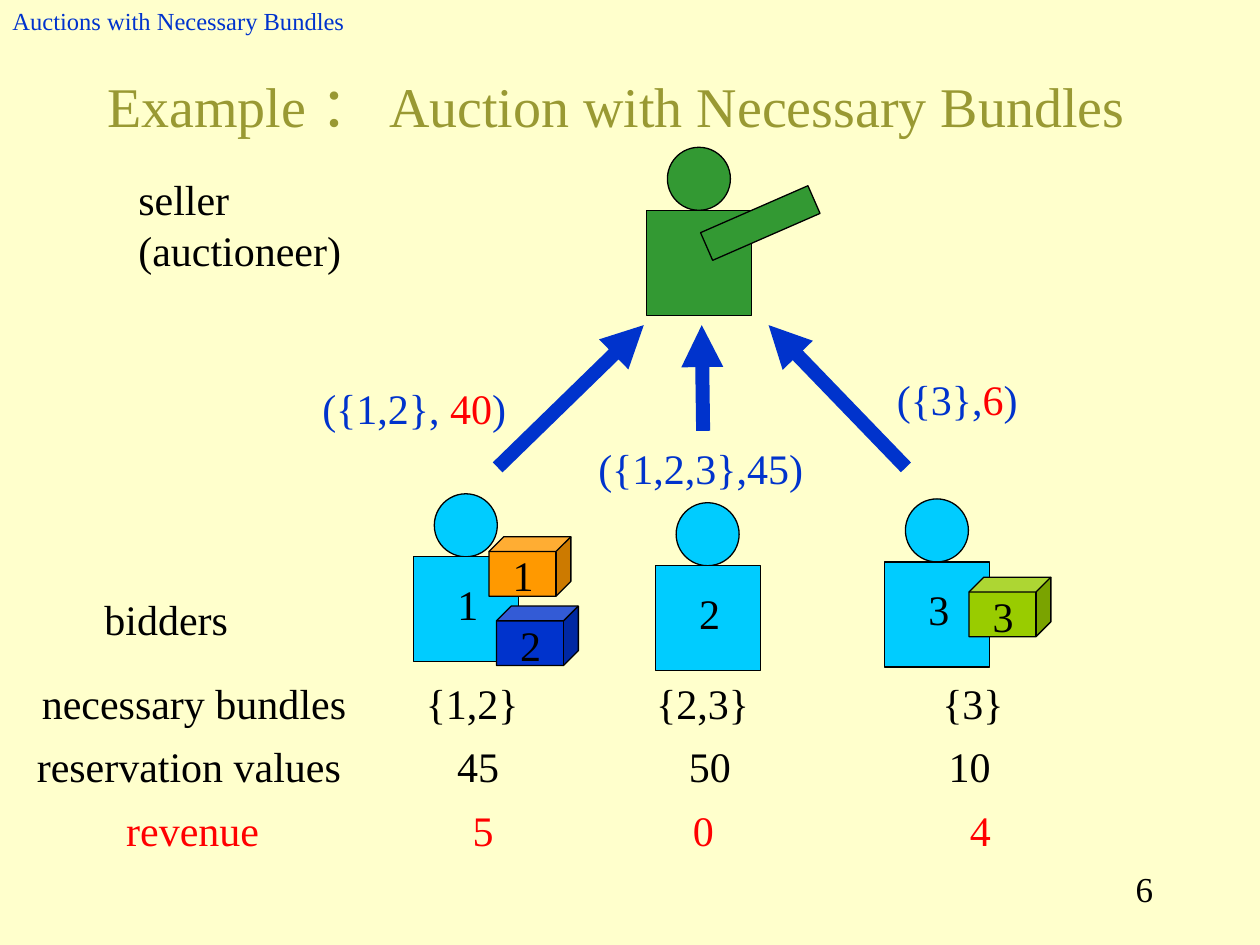
from pptx import Presentation
from pptx.dml.color import RGBColor
from pptx.enum.shapes import MSO_CONNECTOR, MSO_SHAPE
from pptx.enum.text import MSO_ANCHOR, MSO_AUTO_SIZE, PP_ALIGN
from pptx.oxml.ns import qn
from pptx.util import Pt
from lxml.etree import SubElement

FONT = "Times New Roman"
CREAM = RGBColor(0xFF, 0xFF, 0xCC)
OLIVE = RGBColor(0x99, 0x99, 0x33)
BLACK = RGBColor(0, 0, 0)
BLUE = RGBColor(0, 0x33, 0xCC)
RED = RGBColor(0xFF, 0, 0)
GREEN = RGBColor(0x33, 0x99, 0x33)
CYAN = RGBColor(0, 0xCC, 0xFF)
GOLD = RGBColor(0xFF, 0x99, 0)
LIME = RGBColor(0x99, 0xCC, 0)
LEFT, MID, RIGHT = PP_ALIGN.LEFT, PP_ALIGN.CENTER, PP_ALIGN.RIGHT

TITLE = "Example ： Auction with Necessary Bundles"
HEAD = "Auctions with Necessary Bundles"
PAGE = "6"

SELLER = (369.4, 84.2)
BIDDERS = [("1", 236.2, 282.2), ("3", 505.4, 285.1), ("2", 374.4, 287.3)]
GOODS = [("2", 283.7, 346.3, BLUE), ("1", 279.4, 306.7, GOLD), ("3", 553.7, 329.8, LIME)]

ROLES = [("seller (auctioneer)", 72, 95.8, 147), ("bidders", 52.6, 335.5, 91.4)]
BIDS = [
    ([("({1,2}, ", BLUE), ("40", RED), (")", BLUE)], 177.1, 215.3, 120.2),
    ([("({1,2,3},45)", BLUE)], 334.8, 249.1, 146.9),
    ([("({3},", BLUE), ("6", RED), (")", BLUE)], 505.4, 210.2, 102.2),
]
ARROWS = [(284.4, 267.1, 367.9), (401.8, 246.2, 401), (517.7, 267.1, 439.2)]
TIP = 185.8

ROWS = [
    (BLACK, [("necessary bundles", 2.9, 216, MID), ("{1,2}", 236.2, 77.8, LEFT),
             ("{2,3}", 367.9, 72, LEFT), ("{3}", 531.4, 57.6, LEFT)]),
    (BLACK, [("reservation values", 2.9, 210.2, MID), ("45", 254.2, 41, LEFT),
             ("50", 386.6, 41, LEFT), ("10", 535, 46.1, LEFT)]),
    (RED, [("revenue", 5, 210.2, MID), ("5", 255.6, 41, MID),
           ("0", 388.8, 41, LEFT), ("4", 537.1, 46.1, MID)]),
]
ROW_TOP, ROW_STEP = 383.6, 36.2


def write(frame, runs, size, align=LEFT):
    para = frame.paragraphs[0]
    para.alignment = align
    for text, color in runs:
        run = para.add_run()
        run.text = text
        run.font.name = FONT
        run.font.size = Pt(size)
        run.font.color.rgb = color


def label(home, runs, x, y, w, h=36, size=24, align=LEFT, grow=True):
    box = home.add_textbox(Pt(x), Pt(y), Pt(w), Pt(h))
    frame = box.text_frame
    frame.word_wrap = True
    frame.auto_size = MSO_AUTO_SIZE.SHAPE_TO_FIT_TEXT if grow else MSO_AUTO_SIZE.NONE
    write(frame, runs, size, align)
    return frame


def block(home, kind, x, y, w, h, color):
    shape = home.add_shape(kind, Pt(x), Pt(y), Pt(w), Pt(h))
    shape.shadow.inherit = False
    shape.fill.solid()
    shape.fill.fore_color.rgb = color
    shape.line.color.rgb = BLACK
    shape.line.width = Pt(0.75)
    return shape


def person(home, x, y, color):
    group = home.add_group_shape().shapes
    block(group, MSO_SHAPE.OVAL, x + 12, y, 36, 36, color)
    block(group, MSO_SHAPE.RECTANGLE, x, y + 36, 60, 60, color)
    return group


def arrow(home, x, y, end):
    line = home.add_connector(MSO_CONNECTOR.STRAIGHT, Pt(x), Pt(y), Pt(end), Pt(TIP))
    line.line.color.rgb = BLUE
    line.line.width = Pt(8)
    props = line._element.spPr
    SubElement(props.find(qn("a:ln")), qn("a:tailEnd"), type="triangle")
    SubElement(props, qn("a:effectLst"))


def main():
    deck = Presentation()
    deck.slide_width, deck.slide_height = Pt(720), Pt(540)
    slide = deck.slides.add_slide(deck.slide_layouts[5])
    slide.background.fill.solid()
    slide.background.fill.fore_color.rgb = CREAM
    home = slide.shapes

    title = home.title
    title.left, title.top, title.width, title.height = Pt(54), Pt(30), Pt(612), Pt(60)
    title.text_frame.vertical_anchor = MSO_ANCHOR.MIDDLE
    title.text_frame.auto_size = MSO_AUTO_SIZE.NONE
    write(title.text_frame, [(TITLE, OLIVE)], 32)

    seller = person(home, *SELLER, GREEN)
    arm = block(seller, MSO_SHAPE.RECTANGLE, 401, 118.8, 67, 17.3, GREEN)
    arm.rotation = 336.4

    for name, x, y in BIDDERS:
        group = person(home, x, y, CYAN)
        label(group, [(name, BLACK)], x + 18, y + 44.6, 29.5)

    for text, x, y, w in ROLES:
        label(home, [(text, BLACK)], x, y, w)

    for i, (color, cells) in enumerate(ROWS):
        for text, x, w, align in cells:
            label(home, [(text, color)], x, ROW_TOP + i * ROW_STEP, w, align=align)

    for x, y, end in ARROWS:
        arrow(home, x, y, end)
    for runs, x, y, w in BIDS:
        label(home, runs, x, y, w)

    for name, x, y, color in GOODS:
        group = home.add_group_shape().shapes
        block(group, MSO_SHAPE.CUBE, x, y, 46.8, 34, color)
        label(group, [(name, BLACK)], x + 6.5, y + 4, 24.5)

    head = label(home, [(HEAD, BLUE)], 0, 0, 221.8, 24, 14, grow=False)
    head.vertical_anchor = MSO_ANCHOR.MIDDLE
    label(home, [(PAGE, BLACK)], 516, 492, 150, 36, 20, RIGHT, False)

    deck.save("out.pptx")


if __name__ == "__main__":
    main()
